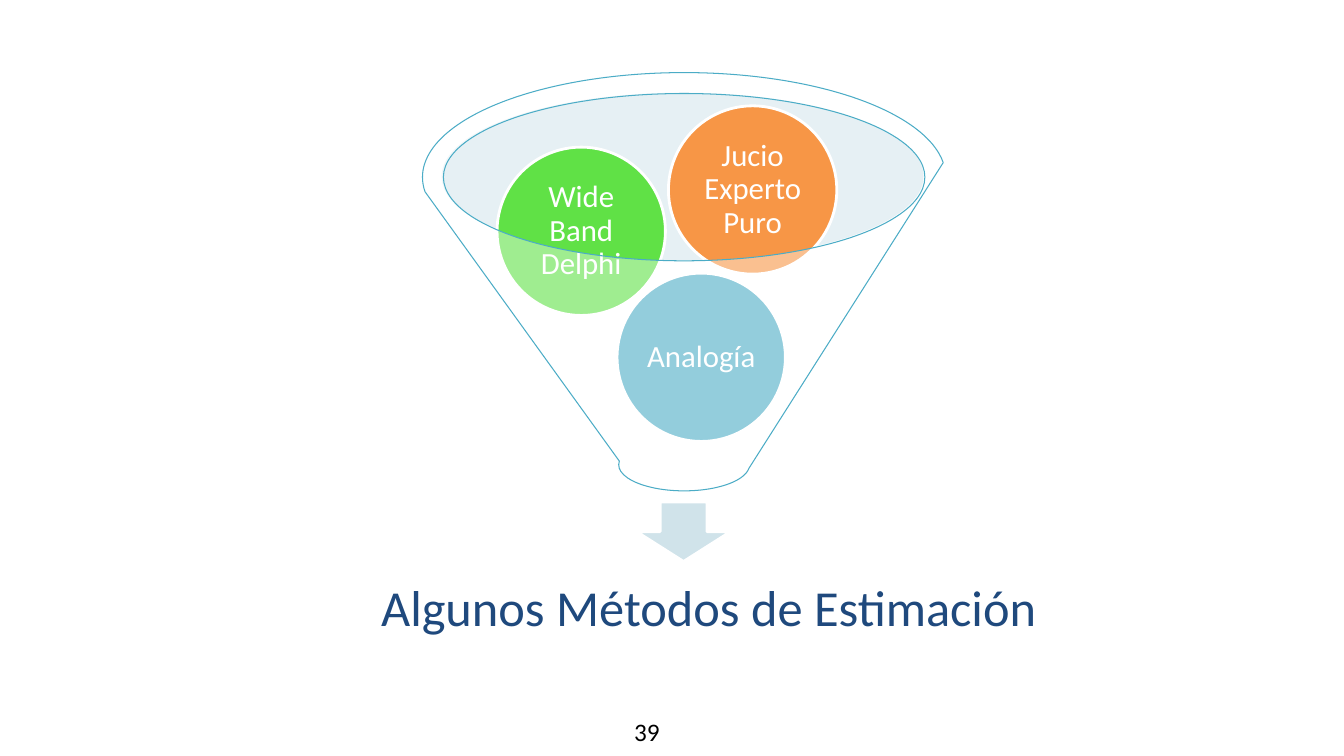
from pptx import Presentation
from pptx import util as u
from pptx.dml.color import RGBColor
from pptx.enum import shapes, text
from pptx.oxml.ns import qn
from lxml import etree

HUES = {"navy": "1F497D", "teal": "4BACC6", "green": "60E146",
        "orange": "F79646", "mist": "C1DBE5", "arrow": "D0E3EA",
        "white": "FFFFFF", "black": "000000"}
KINDS = shapes.MSO_SHAPE


def rgb(name):
    return RGBColor.from_string(HUES[name])


def write(frame, words, size, hue, align):
    para = frame.paragraphs[0]
    para.alignment = align
    run = para.add_run()
    run.text = words
    run.font.name = "Calibri"
    run.font.size = u.Pt(size)
    run.font.color.rgb = rgb(hue)
    return para


def inset(frame, gap):
    frame.margin_left = frame.margin_right = u.Inches(gap)
    frame.margin_top = frame.margin_bottom = u.Inches(gap)


def draw(slide, kind, box, fill, alpha=100, line=None, width=2):
    item = slide.shapes.add_shape(kind, *map(u.Inches, box))
    item.shadow.inherit = False
    item.fill.solid()
    item.fill.fore_color.rgb = rgb(fill)
    if alpha < 100:
        tint = item.fill._xPr.find(".//" + qn("a:srgbClr"))
        etree.SubElement(tint, qn("a:alpha")).set("val", str(alpha * 1000))
    if line:
        item.line.color.rgb = rgb(line)
        item.line.width = u.Pt(width)
    else:
        item.line.fill.background()
    return item


def ball(slide, box, words, fill):
    item = draw(slide, KINDS.OVAL, box, fill, line="white")
    frame = item.text_frame
    frame.word_wrap = True
    frame.vertical_anchor = text.MSO_ANCHOR.MIDDLE
    inset(frame, 0.03)
    para = write(frame, words, 22, "white", text.PP_ALIGN.CENTER)
    para.line_spacing = 0.9


def funnel(slide, box):
    x, y, w, h = box
    # Mouth of the funnel and the arrow below it
    draw(slide, KINDS.OVAL, (x + 0.19, y + 0.2, 4.78, 1.66), "mist", 40)
    draw(slide, KINDS.DOWN_ARROW, (x + w / 2 - 0.47, y + h + 0.11, 0.93, 0.59),
         "arrow", line="white")
    # Methods that go in
    size = 1.67
    for dx, dy, words, fill in ((1.93, 1.99, "Analogía", "teal"),
                                (0.74, 0.74, "Wide Band Delphi", "green"),
                                (2.44, 0.33, "Jucio Experto Puro", "orange")):
        ball(slide, (x + dx, y + dy, size, size), words, fill)
    # Clear funnel on top
    draw(slide, KINDS.FUNNEL, box, "white", 40, "teal", 0.75)


def title(slide, box):
    item = slide.shapes.title
    item.left, item.top, item.width, item.height = map(u.Inches, box)
    frame = item.text_frame
    frame.word_wrap = True
    frame.auto_size = text.MSO_AUTO_SIZE.NONE
    frame.vertical_anchor = text.MSO_ANCHOR.TOP
    inset(frame, 0)
    write(frame, "Algunos Métodos de Estimación", 36, "navy",
          text.PP_ALIGN.CENTER)


def number(slide, box):
    frame = slide.shapes.add_textbox(*map(u.Inches, box)).text_frame
    frame.word_wrap = False
    write(frame, "39", 18, "black", text.PP_ALIGN.LEFT)


def main():
    deck = Presentation()
    deck.slide_width, deck.slide_height = u.Inches(13.33), u.Inches(7.5)
    slide = deck.slides.add_slide(deck.slide_layouts[5])
    number(slide, (6.19, 7.06, 0.64, 0.4))
    title(slide, (2.57, 5.72, 8.92, 1.08))
    funnel(slide, (4.19, 0.72, 5.19, 4.15))
    deck.save("out.pptx")


if __name__ == "__main__":
    main()
